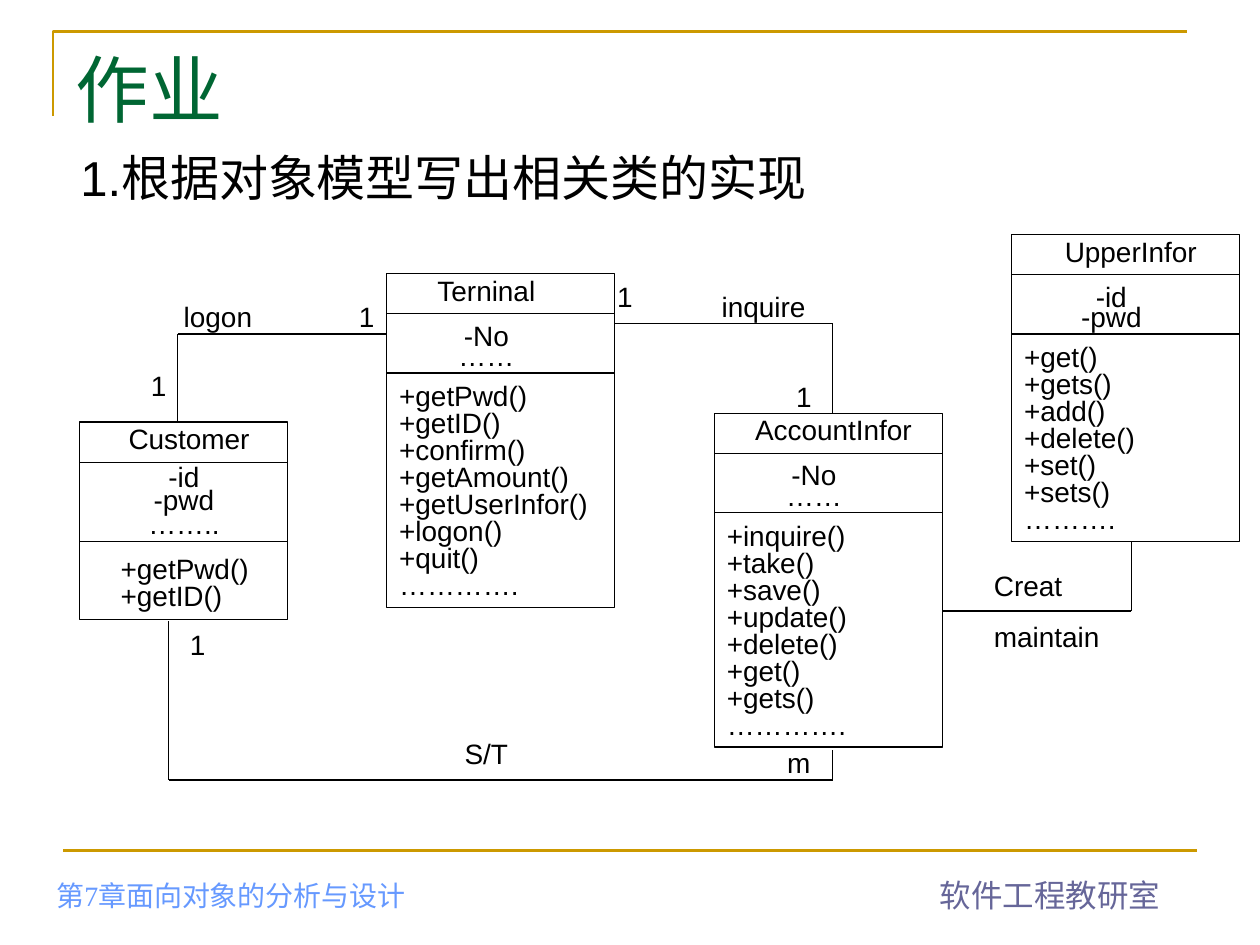
from itertools import pairwise

from lxml import etree
from pptx import Presentation
from pptx import util as u
from pptx.dml.color import RGBColor
from pptx.enum import shapes, text
from pptx.oxml.ns import qn

COLORS = {
    "ink": "000000",
    "title": "006633",
    "rule": "CC9900",
    "chapter": "6699FF",
    "office": "666699",
}
LEFT, CENTER, RIGHT = text.PP_ALIGN.LEFT, text.PP_ALIGN.CENTER, text.PP_ALIGN.RIGHT

CLASSES = [
    {
        "box": (0.63, 3.35, 1.65, 1.57), "dividers": (0.32, 0.95),
        "name": "Customer", "name_area": (0.16, 1.42),
        "attributes": ["-id", "-pwd", "…….."],
        "attribute_area": (0.16, 0, 1.34), "attribute_spacing": 0.7,
        "operations": ["+getPwd()", "+getID()"],
        "operation_area": (0.23, 0.08, 1.34),
    },
    {
        "box": (8.03, 1.86, 1.81, 2.44),
        "name": "UpperInfor", "name_area": (0.08, 1.73),
        "attributes": ["-id", "-pwd"],
        "operations": ["+get()", "+gets()", "+add()", "+delete()", "+set()",
                       "+sets()", "………."],
    },
    {
        "box": (3.07, 2.17, 1.81, 2.65),
        "name": "Terninal", "name_area": (0.08, 1.42),
        "attributes": ["-No", "……"],
        "operations": ["+getPwd()", "+getID()", "+confirm()", "+getAmount()",
                       "+getUserInfor()", "+logon()", "+quit()", "…………."],
    },
    {
        "box": (5.67, 3.28, 1.81, 2.65),
        "name": "AccountInfor", "name_area": (0.08, 1.73),
        "attributes": ["-No", "……"],
        "operations": ["+inquire()", "+take()", "+save()", "+update()",
                       "+delete()", "+get()", "+gets()", "…………."],
    },
]

ASSOCIATIONS = [
    [(1.41, 3.35), (1.41, 2.65), (3.07, 2.65)],
    [(4.88, 2.57), (6.61, 2.57), (6.61, 3.28)],
    [(8.98, 4.3), (8.98, 4.85), (7.48, 4.85)],
    [(1.34, 4.93), (1.34, 6.19), (6.61, 6.19), (6.61, 5.95)],
]

LABELS = [
    (["1"], (0.55, 2.88, 0.87, 0.37), RIGHT),
    (["1"], (2.2, 2.33, 0.87, 0.37), RIGHT),
    (["logon"], (1.1, 2.33, 1.26, 0.37), CENTER),
    (["inquire"], (5.43, 2.25, 1.26, 0.37), CENTER),
    (["1"], (4.8, 2.17, 0.87, 0.37), LEFT),
    (["1"], (6.22, 2.96, 0.87, 0.37), LEFT),
    (["S/T"], (3.23, 5.8, 1.26, 0.37), CENTER),
    (["1"], (1.1, 4.93, 0.63, 0.37), RIGHT),
    (["m"], (5.9, 5.87, 0.63, 0.37), RIGHT),
    (["Creat", "maintain"], (7.79, 4.46, 1.1, 0.77), LEFT),
]


def inches(values):
    return [u.Inches(value) for value in values]


def style_line(line, color, width):
    line.color.rgb = RGBColor.from_string(COLORS[color])
    line.width = u.Pt(width)


def fill_text(shape, lines, size, color="ink", font="Arial", align=LEFT,
              spacing=None, gap=0, wrap=True, anchor=text.MSO_ANCHOR.TOP):
    frame = shape.text_frame
    frame.text = "\n".join(lines)
    frame.auto_size = text.MSO_AUTO_SIZE.NONE
    frame.word_wrap = wrap
    frame.vertical_anchor = anchor
    for index, paragraph in enumerate(frame.paragraphs):
        paragraph.alignment = align
        paragraph.line_spacing = spacing
        if index:
            paragraph.space_before = u.Pt(gap)
        for run in paragraph.runs:
            run.font.name = font
            run.font.size = u.Pt(size)
            run.font.color.rgb = RGBColor.from_string(COLORS[color])


def add_text(slide, box, lines, size=16, **style):
    fill_text(slide.shapes.add_textbox(*inches(box)), lines, size, **style)


def add_line(slide, start, end, color="ink", width=0.75):
    connector = slide.shapes.add_connector(
        shapes.MSO_CONNECTOR.STRAIGHT, *inches(start + end))
    style_line(connector.line, color, width)
    etree.SubElement(connector._element.spPr, qn("a:effectLst"))


def add_frame(slide, box):
    left, top, width, height = inches(box)
    builder = slide.shapes.build_freeform(left, top + height)
    builder.add_line_segments([(left, top), (left + width, top)], close=False)
    corner = builder.convert_to_shape()
    corner.shadow.inherit = False
    corner.fill.background()
    style_line(corner.line, "rule", 1.5)


def add_heading(slide, box):
    left, top, width, height = box
    title = slide.shapes.title
    title.left, title.top, title.width, title.height = inches(box)
    fill_text(title, ["作业"], 42, color="title", font="Times New Roman")
    add_text(slide, (left + 0.04, top + 0.82, 9.46, 0.57),
             ["1.根据对象模型写出相关类的实现"], 28)


def add_footer(slide, box):
    left, top, width, height = box
    add_line(slide, (left, top), (left + width, top), "rule", 1.5)
    add_text(slide, (left - 0.15, top + 0.23, 4.1, 0.31),
             ["第7章面向对象的分析与设计"], color="chapter",
             font="Times New Roman", anchor=text.MSO_ANCHOR.BOTTOM)
    add_text(slide, (left + 6.86, top + 0.15, 1.95, 0.4), ["软件工程教研室"],
             18, color="office", wrap=False)


def add_class(slide, box, name, name_area, attributes, operations,
              dividers=(0.32, 0.79), attribute_area=(0.08, 0.08, 1.42),
              attribute_spacing=0.6, operation_area=(0, 0.05, 1.97)):
    left, top, width, height = box
    outline = slide.shapes.add_shape(shapes.MSO_SHAPE.RECTANGLE, *inches(box))
    outline.shadow.inherit = False
    outline.fill.background()
    style_line(outline.line, "ink", 0.75)
    for offset in dividers:
        add_line(slide, (left, top + offset), (left + width, top + offset))

    indent, name_width = name_area
    add_text(slide, (left + indent, top, name_width, dividers[0]), [name],
             align=CENTER, spacing=0.8)
    sections = [
        (attributes, attribute_area, dividers[0], dividers[1], CENTER, attribute_spacing),
        (operations, operation_area, dividers[1], height, LEFT, 0.8),
    ]
    for lines, (indent, drop, area_width), start, end, align, spacing in sections:
        area = (left + indent, top + start + drop, area_width, end - start - drop)
        add_text(slide, area, lines, align=align, spacing=spacing)


def add_associations(slide):
    for points in ASSOCIATIONS:
        for start, end in pairwise(points):
            add_line(slide, start, end)
    for lines, box, align in LABELS:
        add_text(slide, box, lines, align=align, gap=10)


def main():
    presentation = Presentation()
    presentation.slide_width = u.Inches(10)
    presentation.slide_height = u.Inches(7.5)
    slide = presentation.slides.add_slide(presentation.slide_layouts[5])
    add_frame(slide, (0.42, 0.25, 9, 0.67))
    add_footer(slide, (0.5, 6.75, 9, 0.55))
    add_heading(slide, (0.5, 0.3, 9, 1.25))
    for diagram_class in CLASSES:
        add_class(slide, **diagram_class)
    add_associations(slide)
    presentation.save("out.pptx")


if __name__ == "__main__":
    main()
